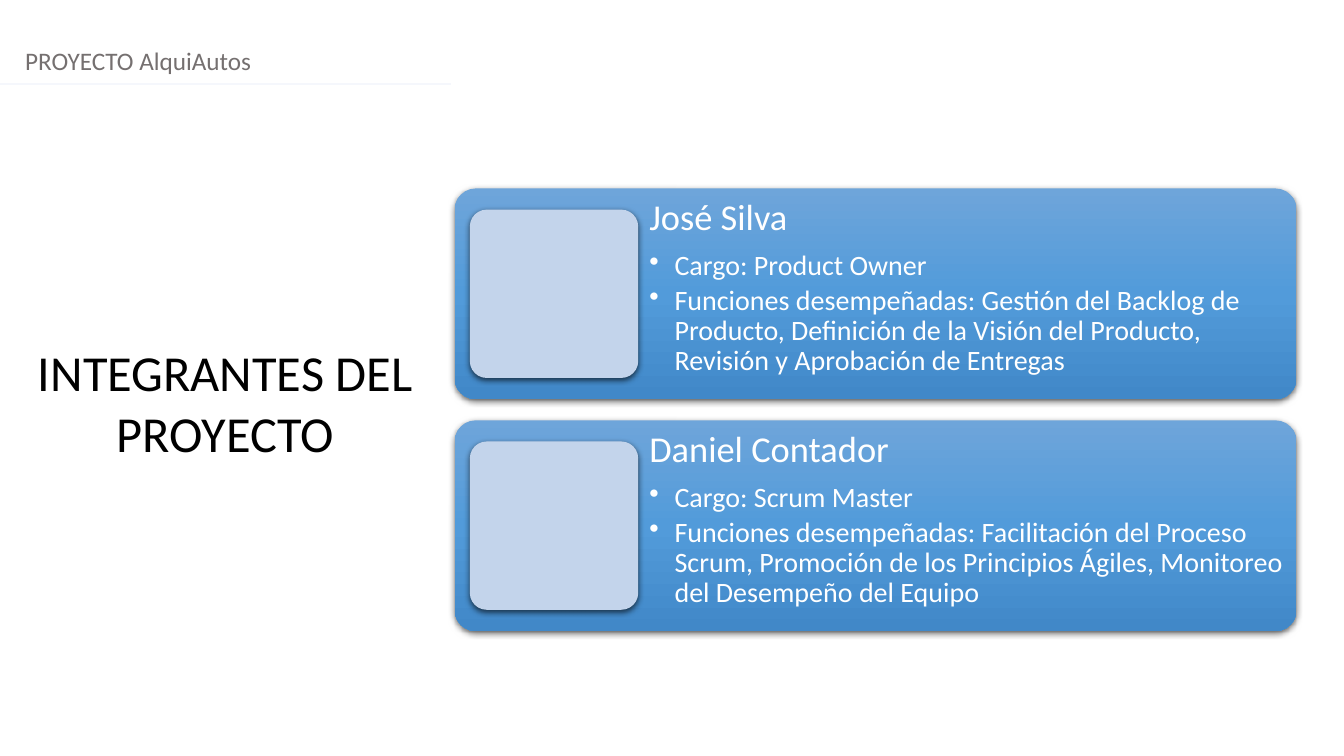
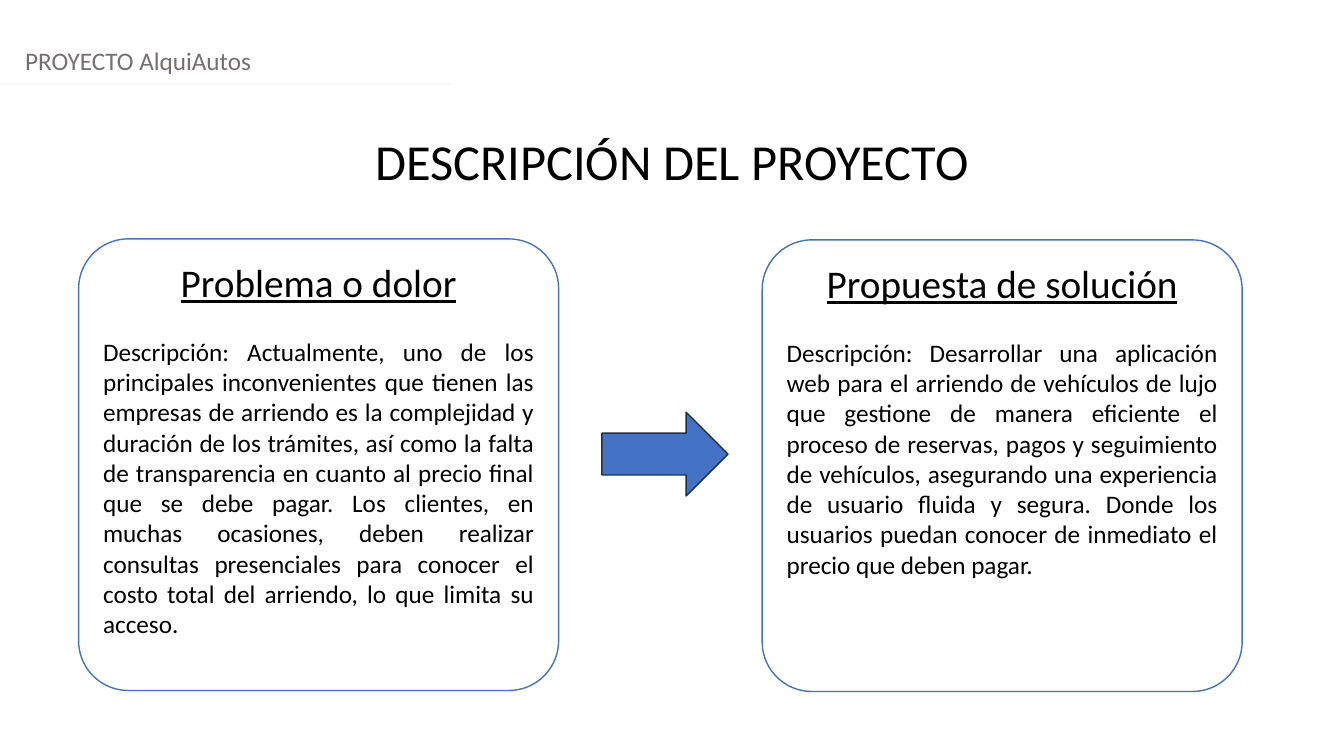
from copy import deepcopy
from lxml.etree import SubElement
from pptx import Presentation
from pptx.dml.color import RGBColor
from pptx.enum.shapes import MSO_CONNECTOR, MSO_SHAPE
from pptx.enum.text import MSO_ANCHOR, PP_ALIGN
from pptx.oxml.ns import qn
from pptx.util import Inches, Pt

# Colours
BLACK = RGBColor(0x00, 0x00, 0x00)
WHITE = RGBColor(0xFF, 0xFF, 0xFF)
GREY = RGBColor(0x75, 0x70, 0x70)
PALE = RGBColor(0xF5, 0xF7, 0xFC)
BLUE = RGBColor(0x44, 0x72, 0xC4)
NAVY = RGBColor(0x1C, 0x30, 0x52)
PHOTO = RGBColor(0xC3, 0xD4, 0xEB)
SHADES = [
    (0, RGBColor(0x6E, 0xA5, 0xDA)),
    (0.5, RGBColor(0x52, 0x9B, 0xDA)),
    (1, RGBColor(0x41, 0x88, 0xC8)),
]

# Slide size and a grid of 100 columns by 100 rows
deck = Presentation()
deck.slide_width = Inches(13.33)
deck.slide_height = Inches(7.5)
COL = deck.slide_width / 100
ROW = deck.slide_height / 100

# Text styles: font values, colour, paragraph values
CENTER = {"alignment": PP_ALIGN.CENTER}
HEAD = ({"size": Pt(18)}, GREY, {})
TITLE = ({"size": Pt(36)}, BLACK, CENTER)
NAME = ({"size": Pt(26)}, WHITE, {"line_spacing": 0.9})
ROLE = ({"size": Pt(20)}, WHITE,
        {"level": 1, "line_spacing": 0.9, "space_before": Pt(9.1)})
TASK = ({"size": Pt(20)}, WHITE,
        {"level": 1, "line_spacing": 0.9, "space_before": Pt(3)})
TOPIC = ({"size": Pt(28), "underline": True}, BLACK, CENTER)
BODY = ({"size": Pt(18)}, BLACK,
        {"alignment": PP_ALIGN.JUSTIFY, "space_before": Pt(22)})


def add(slide, kind, left, top, wide, high):
    """Place a shape, or a text box when kind is None, on the grid."""
    box = [int(left * COL), int(top * ROW), int(wide * COL), int(high * ROW)]
    if kind is None:
        return slide.shapes.add_textbox(*box)
    shape = slide.shapes.add_shape(kind, *box)
    shape.shadow.inherit = False
    return shape


def write(shape, lines, pad=None):
    """Fill a shape with styled paragraphs; lower levels get bullets."""
    frame = shape.text_frame
    frame.word_wrap = True
    frame.vertical_anchor = MSO_ANCHOR.TOP
    if pad is not None:
        for side in ("left", "top", "right", "bottom"):
            setattr(frame, "margin_" + side, pad)
    for n, (text, (font, color, para)) in enumerate(lines):
        p = frame.add_paragraph() if n else frame.paragraphs[0]
        for key, value in para.items():
            setattr(p, key, value)
        run = p.add_run()
        run.text = text
        run.font.name = "Calibri"
        run.font.color.rgb = color
        for key, value in font.items():
            setattr(run.font, key, value)
        if p.level:
            props = p._p.get_or_add_pPr()
            props.set("marL", str(Inches(0.25)))
            props.set("indent", str(-Inches(0.25)))
            tint = SubElement(props, qn("a:buClr"))
            SubElement(tint, qn("a:srgbClr"), val=str(color))
            SubElement(props, qn("a:buChar"), char="•")


# Header shared by both slides
blank = deck.slide_layouts[6]
team, plan = slides = [deck.slides.add_slide(blank) for _ in range(2)]
for slide in slides:
    write(add(slide, None, 1.13, 5.33, 97, 5.33),
          [("PROYECTO AlquiAutos", HEAD)])
    y = int(11.07 * ROW)
    rule = slide.shapes.add_connector(
        MSO_CONNECTOR.STRAIGHT, 0, y, int(33.53 * COL), y)
    rule.line.color.rgb = PALE
    rule.line.width = Pt(1.25)
    SubElement(rule._element.spPr, qn("a:effectLst"))

# Slide 1: title and one card per member
write(add(team, None, 1.95, 44.53, 29.63, 17.47),
      [("INTEGRANTES DEL PROYECTO", TITLE)])
people = [
    ("José Silva", "Cargo: Product Owner",
     "Funciones desempeñadas: Gestión del Backlog de Producto, Definición "
     "de la Visión del Producto, Revisión y Aprobación de Entregas"),
    ("Daniel Contador", "Cargo: Scrum Master",
     "Funciones desempeñadas: Facilitación del Proceso Scrum, Promoción de "
     "los Principios Ágiles, Monitoreo del Desempeño del Equipo"),
]
for n, words in enumerate(people):
    top = 24.93 + n * 30.67
    card = add(team, MSO_SHAPE.ROUNDED_RECTANGLE, 33.83, top, 62.64, 27.87)
    photo = add(team, MSO_SHAPE.ROUNDED_RECTANGLE,
                34.96, top + 2.8, 12.53, 22.27)

    # Card gradient, from top to bottom
    card.fill.gradient()
    card.fill.gradient_angle = 270
    stops = card._element.spPr.find(".//" + qn("a:gsLst"))
    stops.insert(1, deepcopy(stops[0]))
    for stop, (place, color) in zip(card.fill.gradient_stops, SHADES):
        stop.position = place
        stop.color.rgb = color
    photo.fill.solid()
    photo.fill.fore_color.rgb = PHOTO

    # Soft shadow under card and photo
    for shape in (card, photo):
        shape.adjustments[0] = 0.1
        shape.line.fill.background()
        glow = SubElement(
            shape._element.spPr.find(qn("a:effectLst")), qn("a:outerShdw"),
            blurRad=str(Pt(4.5)), dist=str(Pt(1.5)), dir="5400000",
            algn="ctr", rotWithShape="0")
        tint = SubElement(glow, qn("a:srgbClr"), val=str(BLACK))
        SubElement(tint, qn("a:alpha"), val="63000")

    write(add(team, None, 47.49, top, 48.99, 27.87),
          zip(words, (NAME, ROLE, TASK)), Inches(0.11))

# Slide 2: title, problem and solution
write(add(plan, None, 0, 16.53, 100, 9.47),
      [("DESCRIPCIÓN DEL PROYECTO", TITLE)])
topics = [
    (5.85, 31.6, "Problema o dolor",
     "Descripción: Actualmente, uno de los principales inconvenientes que "
     "tienen las empresas de arriendo es la complejidad y duración de los "
     "trámites, así como la falta de transparencia en cuanto al precio final "
     "que se debe pagar. Los clientes, en muchas ocasiones, deben realizar "
     "consultas presenciales para conocer el costo total del arriendo, lo "
     "que limita su acceso."),
    (56.71, 31.73, "Propuesta de solución",
     "Descripción: Desarrollar una aplicación web para el arriendo de "
     "vehículos de lujo que gestione de manera eficiente el proceso de "
     "reservas, pagos y seguimiento de vehículos, asegurando una experiencia "
     "de usuario fluida y segura. Donde los usuarios puedan conocer de "
     "inmediato el precio que deben pagar."),
]
parts = []
for left, top, *words in topics:
    panel = add(plan, MSO_SHAPE.ROUNDED_RECTANGLE, left, top, 35.71, 59.73)
    panel.adjustments[0] = 0.11
    write(panel, zip(words, (TOPIC, BODY)))
    parts.append((panel, WHITE, BLUE))

# Arrow between the panels, then fills and outlines
arrow = add(plan, MSO_SHAPE.RIGHT_ARROW, 44.79, 54.53, 9.38, 11.07)
parts.append((arrow, BLUE, NAVY))
for shape, fill, edge in parts:
    shape.fill.solid()
    shape.fill.fore_color.rgb = fill
    shape.line.color.rgb = edge
    shape.line.width = Pt(1)

deck.save("out.pptx")
